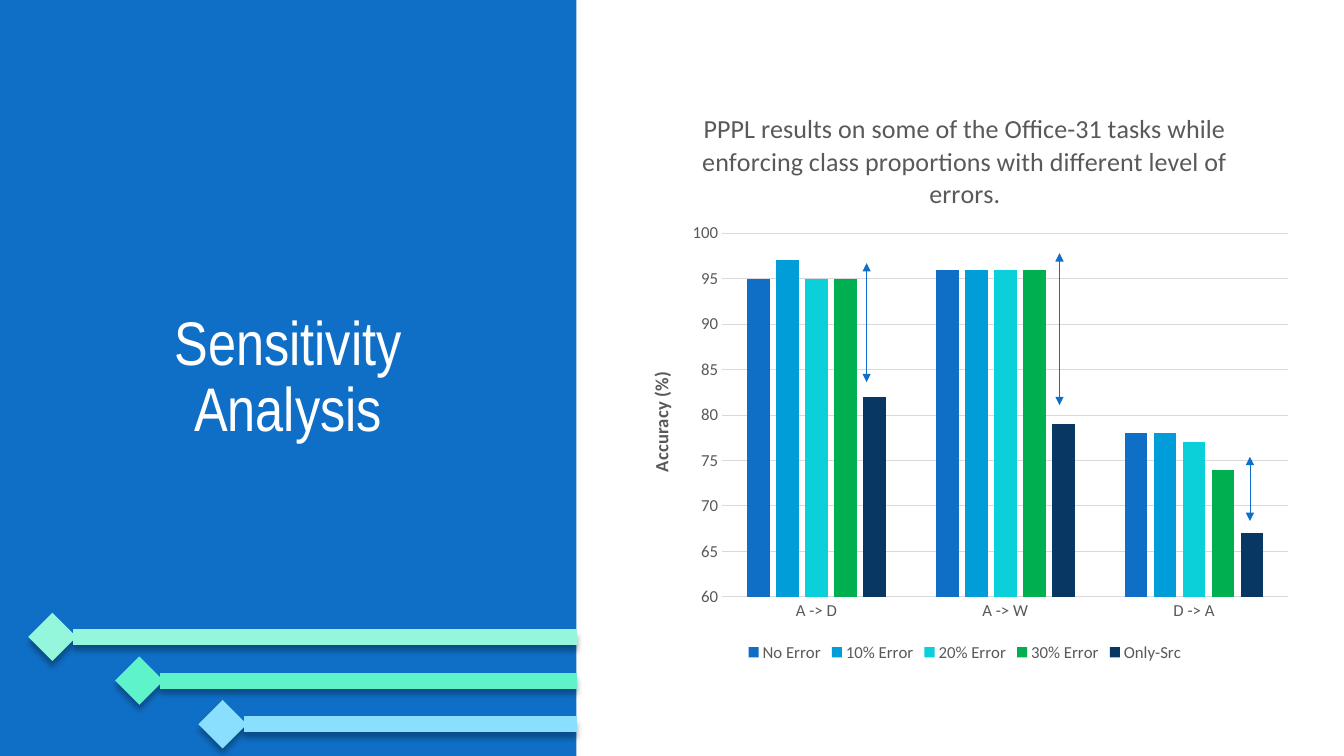
from dataclasses import dataclass

from lxml import etree
from pptx import Presentation
from pptx import util as u
from pptx.chart import data as chart_data
from pptx.dml.color import RGBColor
from pptx.enum import chart as charts, shapes, text
from pptx.oxml import parse_xml
from pptx.oxml.ns import nsdecls, qn
from pptx.util import Cm, Pt

WHITE = RGBColor(0xFF, 0xFF, 0xFF)
BLUE = RGBColor(0x0F, 0x6F, 0xC6)
SKY = RGBColor(0x00, 0x9D, 0xD9)
CYAN = RGBColor(0x0B, 0xD0, 0xD9)
GREEN = RGBColor(0x00, 0xB0, 0x50)
NAVY = RGBColor(0x08, 0x37, 0x63)
PALE_MINT = RGBColor(0x94, 0xF7, 0xDC)
MINT = RGBColor(0x5F, 0xF3, 0xCA)
PALE_BLUE = RGBColor(0x8A, 0xDF, 0xFF)
GREY = RGBColor(0x59, 0x59, 0x59)
RULE_GREY = RGBColor(0xD9, 0xD9, 0xD9)

PANEL_WIDTH, PAGE_WIDTH, PAGE_HEIGHT = 14.53, 33.87, 19.05
SHADOW = (
    '<a:outerShdw blurRad="50800" dist="50800" dir="5400000" algn="ctr" rotWithShape="0">'
    '<a:srgbClr val="000000"><a:alpha val="30000"/></a:srgbClr></a:outerShdw>'
)


@dataclass
class Line:
    start: tuple[float, float]
    end: tuple[float, float]
    color: RGBColor
    width: float
    head: str
    tail: str = "none"
    effect: str = ""


@dataclass
class Series:
    name: str
    values: tuple[int, ...]
    color: RGBColor


STRIPES = [
    Line((left, 16.05 + 1.1 * row), (PANEL_WIDTH, 16.05 + 1.1 * row),
         color, 11.5, "diamond", effect=SHADOW)
    for row, (left, color) in enumerate(
        [(1.32, PALE_MINT), (3.51, MINT), (5.61, PALE_BLUE)])
]
GAP_ARROWS = [
    Line((x, top), (x, bottom), BLUE, 0.5, "triangle", "triangle")
    for x, top, bottom in [(21.84, 6.63, 9.63), (26.7, 6.38, 10.21), (31.5, 11.51, 13.13)]
]
CATEGORIES = ["A -> D", "A -> W", "D -> A"]
SERIES = [
    Series("No Error", (95, 96, 78), BLUE),
    Series("10% Error", (97, 96, 78), SKY),
    Series("20% Error", (95, 96, 77), CYAN),
    Series("30% Error", (95, 96, 74), GREEN),
    Series("Only-Src", (82, 79, 67), NAVY),
]


def format_font(font, size: float, color: RGBColor = GREY,
                name: str = "Calibri", bold: bool = False) -> None:
    font.size, font.name, font.bold = Pt(size), name, bold
    font.color.rgb = color


def write(frame, words: str, align=None, spacing=None, **style) -> None:
    """Put one formatted paragraph in a text frame."""
    para = frame.paragraphs[0]
    para.alignment, para.line_spacing = align, spacing
    span = para.add_run()
    span.text = words
    format_font(span.font, **style)


def draw_line(page, line: Line) -> None:
    connector = page.shapes.add_connector(
        shapes.MSO_CONNECTOR.STRAIGHT, *(Cm(n) for n in line.start + line.end))
    connector.line.color.rgb = line.color
    connector.line.width = Pt(line.width)
    properties = connector.element.spPr
    outline = properties.find(qn("a:ln"))
    for tag, kind in (("a:headEnd", line.head), ("a:tailEnd", line.tail)):
        etree.SubElement(outline, qn(tag)).set("type", kind)
    properties.append(parse_xml(
        f'<a:effectLst {nsdecls("a")}>{line.effect}</a:effectLst>'))


def place_plot(chart, **fractions: float) -> None:
    """Fix the inner plot area as fractions of the chart frame."""
    plot_area = chart.element.find(".//" + qn("c:plotArea"))
    for layout in plot_area.findall(qn("c:layout")):
        plot_area.remove(layout)
    sizes = "".join(f'<c:{key} val="{value}"/>' for key, value in fractions.items())
    plot_area.insert(0, parse_xml(
        f'<c:layout {nsdecls("c")}><c:manualLayout><c:layoutTarget val="inner"/>'
        f'<c:xMode val="edge"/><c:yMode val="edge"/>{sizes}'
        '</c:manualLayout></c:layout>'))


def add_accuracy_chart(page):
    data = chart_data.CategoryChartData()
    data.categories = CATEGORIES
    for series in SERIES:
        data.add_series(series.name, series.values)
    frame = page.shapes.add_chart(
        charts.XL_CHART_TYPE.COLUMN_CLUSTERED,
        Cm(15.82), Cm(2.24), Cm(16.99), Cm(14.55), data)
    chart = frame.chart
    format_font(chart.font, 12)

    # Columns
    plot = chart.plots[0]
    plot.gap_width, plot.overlap, plot.vary_by_categories = 219, -27, False
    for drawn, series in zip(plot.series, SERIES):
        drawn.format.fill.solid()
        drawn.format.fill.fore_color.rgb = series.color
        drawn.invert_if_negative = False

    # Axes
    for axis in (chart.category_axis, chart.value_axis):
        axis.major_tick_mark = axis.minor_tick_mark = charts.XL_TICK_MARK.NONE
        format_font(axis.tick_labels.font, 12)
    chart.category_axis.format.line.color.rgb = RULE_GREY
    chart.category_axis.format.line.width = Pt(0.75)
    values = chart.value_axis
    values.minimum_scale, values.maximum_scale, values.major_unit = 60, 100, 5
    values.format.line.fill.background()
    values.major_gridlines.format.line.color.rgb = RULE_GREY
    values.major_gridlines.format.line.width = Pt(0.75)
    write(values.axis_title.text_frame, "Accuracy (%)", size=13.3, bold=True)

    # Title and legend
    write(chart.chart_title.text_frame,
          "PPPL results on some of the Office-31 tasks while enforcing class "
          "proportions with different level of errors.", size=18.6)
    chart.chart_title.include_in_layout = False
    chart.has_legend = True
    chart.legend.position = charts.XL_LEGEND_POSITION.BOTTOM
    chart.legend.include_in_layout = False
    format_font(chart.legend.font, 12)
    place_plot(chart, x=0.14, y=0.25, w=0.84, h=0.63)
    return frame


def format_title(title) -> None:
    title.left, title.top, title.width, title.height = (
        Cm(n) for n in (2.21, 7.7, 10.11, 3.68))
    frame = title.text_frame
    frame.word_wrap = True
    frame.auto_size = text.MSO_AUTO_SIZE.NONE
    frame.vertical_anchor = text.MSO_ANCHOR.MIDDLE
    write(frame, "Sensitivity Analysis", align=text.PP_ALIGN.CENTER, spacing=0.9,
          size=44, color=WHITE, name="Arial Narrow")


def add_panel(page, width: u.Length, height: u.Length) -> None:
    panel = page.shapes.add_shape(shapes.MSO_SHAPE.RECTANGLE, 0, 0, width, height)
    panel.shadow.inherit = False
    panel.fill.solid()
    panel.fill.fore_color.rgb = BLUE
    panel.line.fill.background()


def main() -> None:
    deck = Presentation()
    deck.slide_width, deck.slide_height = Cm(PAGE_WIDTH), Cm(PAGE_HEIGHT)
    page = deck.slides.add_slide(deck.slide_layouts[5])

    # Blue side panel with its stripes
    add_panel(page, Cm(PANEL_WIDTH), Cm(PAGE_HEIGHT))
    for stripe in STRIPES:
        draw_line(page, stripe)

    # Chart, with the title raised above the panel
    chart_frame = add_accuracy_chart(page)
    format_title(page.shapes.title)
    chart_frame.element.addnext(page.shapes.title.element)

    # Arrows marking the gain over source-only training
    for arrow in GAP_ARROWS:
        draw_line(page, arrow)
    deck.save("out.pptx")


if __name__ == "__main__":
    main()
